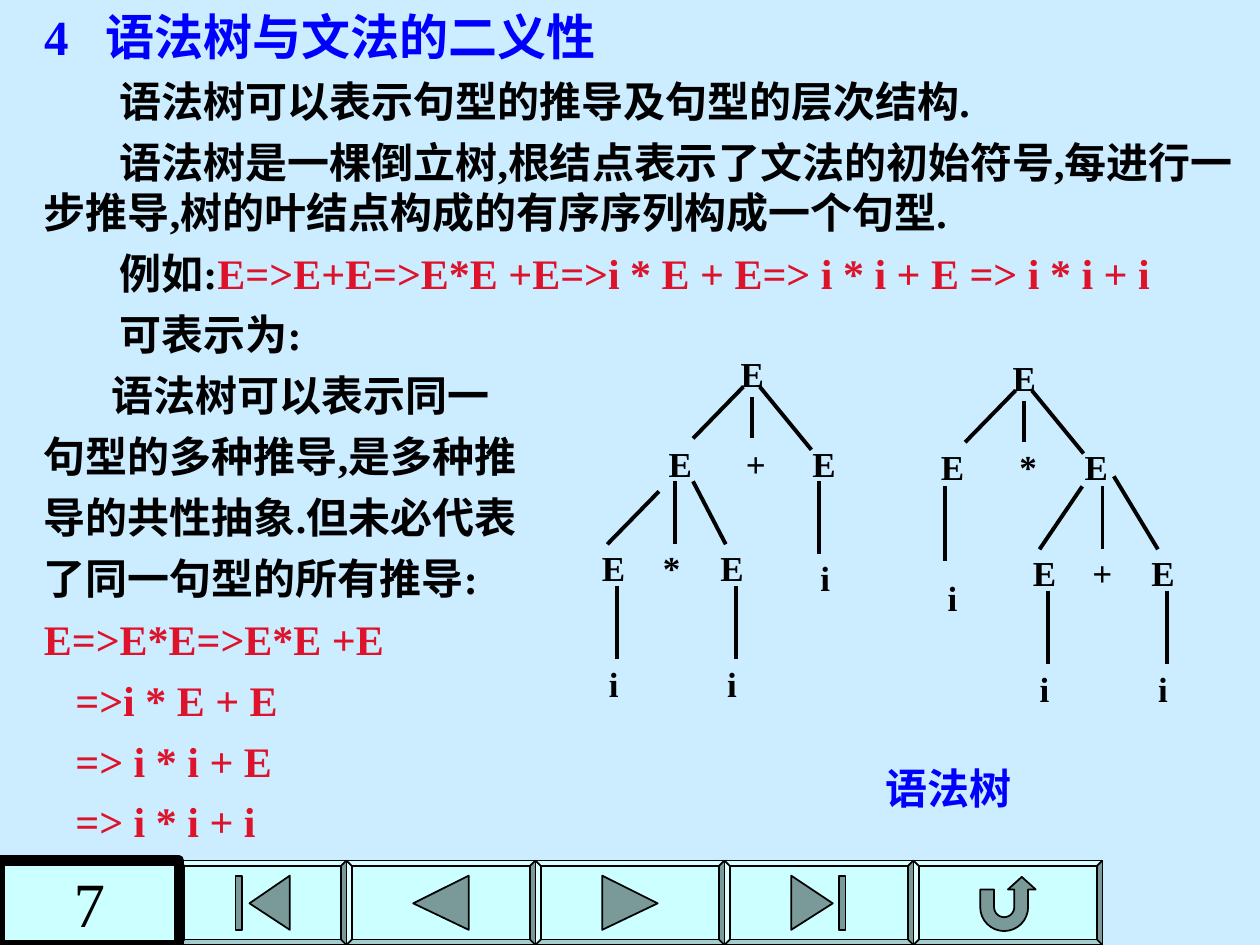
from math import cos, pi, sin

from pptx import Presentation
from pptx.dml.color import RGBColor
from pptx.enum.shapes import MSO_CONNECTOR, MSO_SHAPE
from pptx.enum.text import MSO_ANCHOR, PP_ALIGN
from pptx.oxml.ns import qn
from pptx.util import Inches, Pt

STRAIGHT = MSO_CONNECTOR.STRAIGHT
BEVEL, RECT = MSO_SHAPE.BEVEL, MSO_SHAPE.RECTANGLE
CENTER = PP_ALIGN.CENTER
TOP, MIDDLE = MSO_ANCHOR.TOP, MSO_ANCHOR.MIDDLE

FONT = "Times New Roman"
BLACK, BLUE, RED = "000000", "0000FF", "DD132B"
SKY, PALE, ICON = "CCECFF", "CCFFFF", "7A9999"
NODE_WIDTH = {"E": 0.39, "+": 0.36, "*": 0.34, "i": 0.28}

# Each paragraph: first-line indent, then (text, colour) runs
BODY = [
    (0.6, [("语法树可以表示句型的推导及句型的层次结构.", BLACK)]),
    (0.6, [("语法树是一棵倒立树,根结点表示了文法的初始符号,每进行一步推导,"
            "树的叶结点构成的有序序列构成一个句型.", BLACK)]),
    (0.6, [("例如:", BLACK),
           ("E=>E+E=>E*E +E=>i * E + E=> i * i + E => i * i + i", RED)]),
    (0.6, [("可表示为:", BLACK)]),
    (0.54, [("语法树可以表示同一", BLACK)]),
    (0, [("句型的多种推导,是多种推", BLACK)]),
    (0, [("导的共性抽象.但未必代表", BLACK)]),
    (0, [("了同一句型的所有推导:", BLACK)]),
    (0, [("E=>E*E=>E*E +E", RED)]),
    (0.25, [("=>i * E + E", RED)]),
    (0.25, [("=> i * i + E", RED)]),
    (0.25, [("=> i * i + i", RED)]),
]


def color(hex_string):
    return RGBColor.from_string(hex_string)


def set_font(target, size, hex_string, bold=True):
    f = target.font
    f.name, f.size, f.bold = FONT, Pt(size), bold
    f.color.rgb = color(hex_string)


def set_indent(p, first, left=0):
    pPr = p._p.get_or_add_pPr()
    pPr.set("marL", str(Inches(left)))
    pPr.set("indent", str(Inches(first)))


def paint(sp, fill, width):
    sp.shadow.inherit = False
    sp.fill.solid()
    sp.fill.fore_color.rgb = color(fill)
    sp.line.color.rgb = color(BLACK)
    sp.line.width = Pt(width)


def add_label(shapes, text, x, y, w, h, size, hex_string):
    tf = shapes.add_textbox(Inches(x), Inches(y), Inches(w), Inches(h)).text_frame
    tf.word_wrap = False
    p = tf.paragraphs[0]
    p.text, p.alignment = text, CENTER
    set_font(p, size, hex_string)


def add_node(shapes, symbol, center, top):
    w = NODE_WIDTH[symbol]
    add_label(shapes, symbol, center - w / 2, top, w, 0.44, 20, BLACK)


def add_edge(shapes, x1, y1, x2, y2):
    c = shapes.add_connector(STRAIGHT, Inches(x1), Inches(y1), Inches(x2), Inches(y2))
    c.line.color.rgb = color(BLACK)
    c.line.width = Pt(2.25)
    spPr = c._element.spPr
    spPr.append(spPr.makeelement(qn("a:effectLst"), {}))


def add_root_level(shapes, x, y, op):
    """Root E with its children E op E; x is the root's centre."""
    for symbol, dx, dy in [("E", 0, 0), ("E", -0.57, 0.71),
                           (op, 0.03, 0.71), ("E", 0.57, 0.71)]:
        add_node(shapes, symbol, x + dx, y + dy)
    for x1, y1, x2, y2 in [(-0.07, 0.32, -0.47, 0.73), (0, 0.4, 0, 0.73),
                           (0.06, 0.32, 0.47, 0.82)]:
        add_edge(shapes, x + x1, y + y1, x + x2, y + y2)


def add_lower_level(shapes, x, y, op):
    """E op E with a leaf i under each E; x is the first E's centre."""
    add_node(shapes, op, x + 0.46, y)
    for cx in (x, x + 0.94):
        add_node(shapes, "E", cx, y)
        add_edge(shapes, cx + 0.03, y + 0.36, cx + 0.03, y + 0.94)
        add_node(shapes, "i", cx, y + 0.92)


def add_tree(s, root, lower, leaf, edges):
    shapes = s.shapes.add_group_shape().shapes
    add_root_level(shapes, *root)
    add_lower_level(shapes, *lower)
    add_node(shapes, "i", *leaf)
    for edge in edges:
        add_edge(shapes, *edge)


def add_icon(s, points):
    pts = [(Inches(x), Inches(y)) for x, y in points]
    builder = s.shapes.build_freeform(*pts[0])
    builder.add_line_segments(pts[1:], close=True)
    paint(builder.convert_to_shape(), ICON, 1)


def add_button(s, left, width, icons):
    sp = s.shapes.add_shape(BEVEL, Inches(left), Inches(6.83), Inches(width), Inches(0.67))
    sp.adjustments[0] = 0.065
    paint(sp, PALE, 1)
    for points in icons:
        add_icon(s, points)


def triangle(base, tip):
    return [(base, 6.95), (tip, 7.17), (base, 7.38)]


def bar(left):
    return [(left, 6.95), (left + 0.05, 6.95), (left + 0.05, 7.38), (left, 7.38)]


def return_arrow(cx, cy):
    def arc(radius):
        return [(cx + radius * cos(pi * i / 16), cy + radius * sin(pi * i / 16))
                for i in range(17)]
    top = cy - 0.14
    head = [(cx + 0.03, top), (cx + 0.14, top - 0.1), (cx + 0.25, top), (cx + 0.19, top)]
    return (arc(0.19) + [(cx - 0.19, top), (cx - 0.08, top)]
            + arc(0.08)[::-1] + [(cx + 0.08, top)] + head)


def add_heading(s):
    sp = s.shapes.title
    sp.left, sp.top, sp.width, sp.height = Inches(0.25), 0, Inches(9.75), Inches(0.57)
    tf = sp.text_frame
    tf.vertical_anchor = TOP
    p = tf.paragraphs[0]
    p.text, p.alignment = "4\t语法树与文法的二义性", PP_ALIGN.LEFT
    set_font(p, 28, BLUE)
    set_indent(p, -0.49, 0.49)


def add_body(s):
    tf = s.shapes.add_textbox(Inches(0.25), Inches(0.55), Inches(9.75), Inches(6.62)).text_frame
    tf.word_wrap = True
    for i, (first, runs) in enumerate(BODY):
        p = tf.add_paragraph() if i else tf.paragraphs[0]
        p.space_before = Pt(6 if i else 0)
        set_indent(p, first)
        for text, hex_string in runs:
            r = p.add_run()
            r.text = text
            set_font(r, 24, hex_string)


def add_page_number(s):
    sp = s.shapes.add_shape(RECT, 0, Inches(6.83), Inches(1.42), Inches(0.67))
    paint(sp, PALE, 6)
    sp.text_frame.vertical_anchor = MIDDLE
    p = sp.text_frame.paragraphs[0]
    p.text, p.alignment = "7", CENTER
    set_font(p, 36, BLACK, bold=False)


def main():
    prs = Presentation()
    prs.slide_width, prs.slide_height = Inches(10), Inches(7.5)
    s = prs.slides.add_slide(prs.slide_layouts[5])
    s.background.fill.solid()
    s.background.fill.fore_color.rgb = color(SKY)

    # Navigation bar
    add_button(s, 1.42, 1.33, [triangle(2.3, 1.98), bar(1.87)])
    for i, icons in enumerate([[triangle(3.72, 3.28)], [triangle(4.78, 5.22)],
                               [triangle(6.28, 6.61), bar(6.66)],
                               [return_arrow(7.97, 7.2)]]):
        add_button(s, 2.75 + 1.5 * i, 1.5, icons)

    # Text
    add_heading(s)
    add_body(s)

    # Syntax trees
    add_tree(s, (5.97, 2.75, "+"), (4.87, 4.29, "*"), (6.55, 4.37),
             [(5.23, 3.9, 4.82, 4.32), (5.36, 3.82, 5.36, 4.32),
              (5.5, 3.82, 5.76, 4.32), (6.5, 3.82, 6.5, 4.4)])
    add_tree(s, (8.13, 2.78, "*"), (8.29, 4.33, "+"), (7.56, 4.53),
             [(8.59, 3.86, 8.25, 4.36), (8.75, 3.86, 8.75, 4.36),
              (8.84, 3.78, 9.19, 4.36), (7.5, 3.86, 7.5, 4.45)])
    add_label(s.shapes, "语法树", 6.92, 6, 1.21, 0.5, 24, BLUE)

    add_page_number(s)
    prs.save("out.pptx")


if __name__ == "__main__":
    main()
